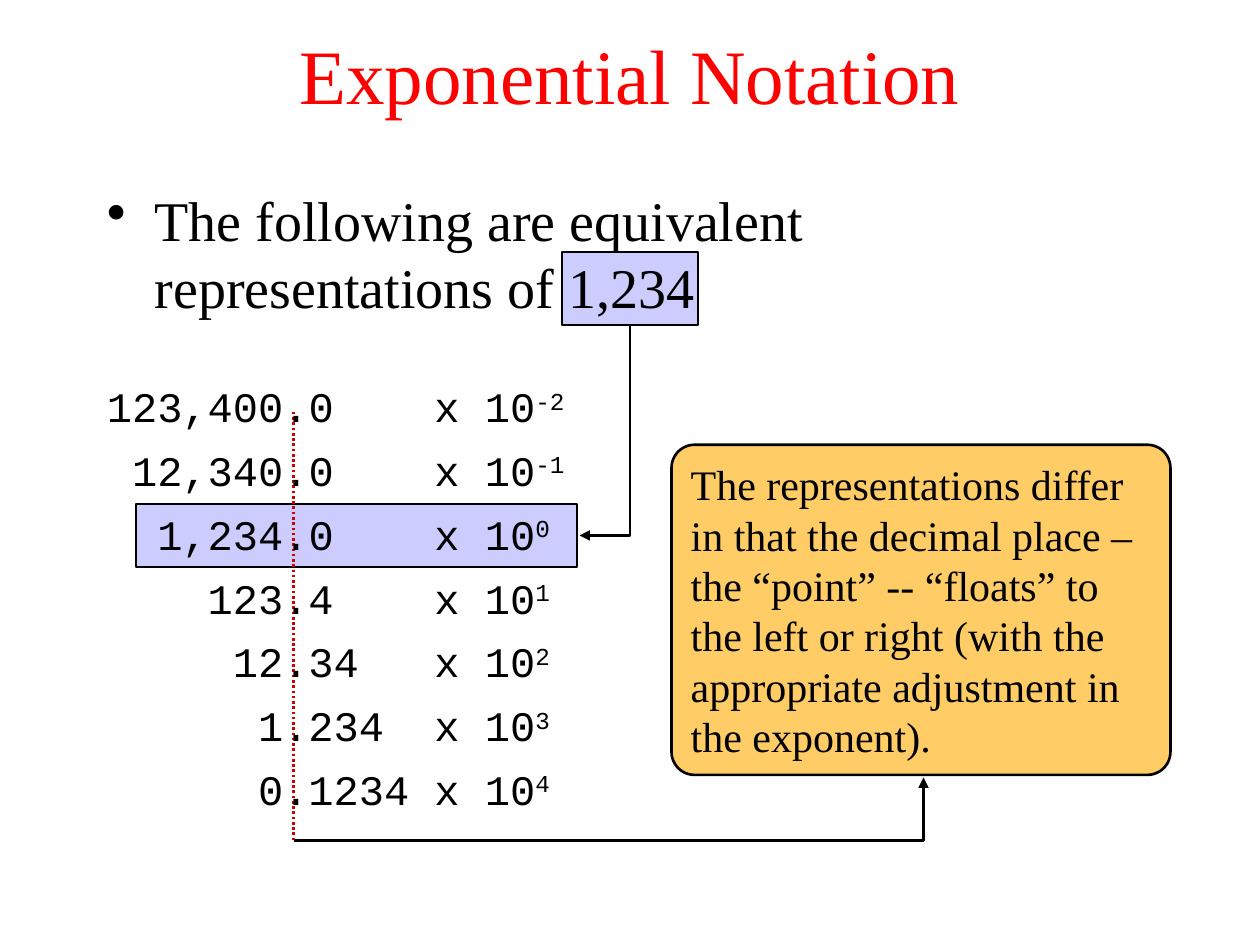
from lxml.etree import SubElement
from pptx import Presentation
from pptx.dml.color import RGBColor
from pptx.enum.dml import MSO_LINE
from pptx.enum.shapes import MSO_CONNECTOR, MSO_SHAPE
from pptx.enum.text import MSO_ANCHOR, PP_ALIGN
from pptx.oxml.ns import qn
from pptx.util import Inches, Pt

BLACK = RGBColor(0x00, 0x00, 0x00)
RED = RGBColor(0xFF, 0x00, 0x00)
DARK_RED = RGBColor(0xCC, 0x00, 0x00)
LAVENDER = RGBColor(0xCC, 0xCC, 0xFF)
ORANGE = RGBColor(0xFF, 0xCC, 0x66)
SERIF = "Times New Roman"
MONO = "Courier New"
CHARACTER_WIDTH = 0.2
POINT_COLUMN = 7
TIMES_COLUMN = 13
ROWS = [
    ("123,400.0", "-2"),
    ("12,340.0", "-1"),
    ("1,234.0", "0"),
    ("123.4", "1"),
    ("12.34", "2"),
    ("1.234", "3"),
    ("0.1234", "4"),
]


def style_span(span, size, color=BLACK, font=SERIF):
    span.font.name = font
    span.font.size = Pt(size)
    span.font.color.rgb = color


def style_line(line, color=BLACK):
    line.color.rgb = color
    line.width = Pt(1.5)


def add_panel(page, kind, left, top, width, height, fill):
    panel = page.shapes.add_shape(
        kind, Inches(left), Inches(top), Inches(width), Inches(height))
    panel.shadow.inherit = False
    panel.fill.solid()
    panel.fill.fore_color.rgb = fill
    style_line(panel.line)
    return panel


def add_text_box(page, left, top, width, height):
    box = page.shapes.add_textbox(
        Inches(left), Inches(top), Inches(width), Inches(height))
    box.text_frame.word_wrap = True
    return box


def write_text(box, text, size, color=BLACK):
    paragraph = box.text_frame.paragraphs[0]
    paragraph.text = text
    style_span(paragraph.runs[0], size, color)
    return paragraph


def add_title(page, text):
    box = add_text_box(page, 0.75, 0.17, 8.5, 0.83)
    box.text_frame.vertical_anchor = MSO_ANCHOR.MIDDLE
    write_text(box, text, 44, RED).alignment = PP_ALIGN.CENTER


def add_bullet(page, text):
    box = add_text_box(page, 0.75, 1.42, 8.5, 4.5)
    box.text_frame.margin_right = Inches(0.2)
    paragraph = write_text(box, text, 32)
    paragraph.space_before = Pt(6.4)
    properties = paragraph._p.get_or_add_pPr()
    properties.set("marL", str(Inches(0.38)))
    properties.set("indent", str(Inches(-0.38)))
    SubElement(properties, qn("a:buChar"), char="•")


def add_point_line(page):
    line = page.shapes.add_connector(
        MSO_CONNECTOR.STRAIGHT,
        Inches(2.33), Inches(6.67), Inches(2.33), Inches(3.25))
    style_line(line.line, DARK_RED)
    line.line.dash_style = MSO_LINE.ROUND_DOT
    SubElement(line._element.spPr, qn("a:effectLst"))


def add_bent_arrow(page, start, *corners):
    builder = page.shapes.build_freeform(
        Inches(start[0]), Inches(start[1]))
    builder.add_line_segments(
        [(Inches(x), Inches(y)) for x, y in corners], close=False)
    arrow = builder.convert_to_shape()
    arrow.shadow.inherit = False
    arrow.fill.background()
    style_line(arrow.line)
    SubElement(arrow.line._get_or_add_ln(), qn("a:tailEnd"), type="triangle")


def add_note(page, text):
    note = add_panel(
        page, MSO_SHAPE.ROUNDED_RECTANGLE, 5.33, 3.53, 3.96, 2.62, ORANGE)
    note.adjustments[0] = 0.07
    note.text_frame.word_wrap = True
    note.text_frame.vertical_anchor = MSO_ANCHOR.MIDDLE
    write_text(note, text, 24).alignment = PP_ALIGN.LEFT


def add_tab_stops(paragraph, columns):
    stops = SubElement(paragraph._p.get_or_add_pPr(), qn("a:tabLst"))
    for column in columns:
        position = Inches(column * CHARACTER_WIDTH)
        SubElement(stops, qn("a:tab"), pos=str(position), algn="l")


def add_representations(page):
    frame = add_text_box(page, 0.75, 3.05, 4, 3.53).text_frame
    for index, (mantissa, exponent) in enumerate(ROWS):
        paragraph = frame.add_paragraph() if index else frame.paragraphs[0]
        paragraph.line_spacing = 0.8
        paragraph.space_before = Pt(13.4)
        start = POINT_COLUMN - mantissa.index(".")
        add_tab_stops(
            paragraph, [start, TIMES_COLUMN] if start else [TIMES_COLUMN])
        lead = "\t" if start else ""
        paragraph.text = f"{lead}{mantissa}\tx 10"
        power = paragraph.add_run()
        power.text = exponent
        for span in paragraph.runs:
            style_span(span, 24, font=MONO)
        power.font._element.set("baseline", "30000")


def main():
    deck = Presentation()
    deck.slide_width = Inches(10)
    deck.slide_height = Inches(7.5)
    page = deck.slides.add_slide(deck.slide_layouts[6])

    add_panel(page, MSO_SHAPE.RECTANGLE, 4.46, 2, 1.08, 0.58, LAVENDER)
    add_panel(page, MSO_SHAPE.RECTANGLE, 1.08, 4, 3.5, 0.5, LAVENDER)
    add_title(page, "Exponential Notation")
    add_point_line(page)
    add_note(page, "The representations differ in that the decimal place – "
                   "the “point” -- “floats” to the left or right (with the "
                   "appropriate adjustment in the exponent).")
    add_bent_arrow(page, (5, 2.58), (5, 4.25), (4.6, 4.25))
    add_bent_arrow(page, (2.33, 6.67), (7.33, 6.67), (7.33, 6.17))
    add_bullet(page, "The following are equivalent representations of 1,234")
    add_representations(page)
    deck.save("out.pptx")


if __name__ == "__main__":
    main()
